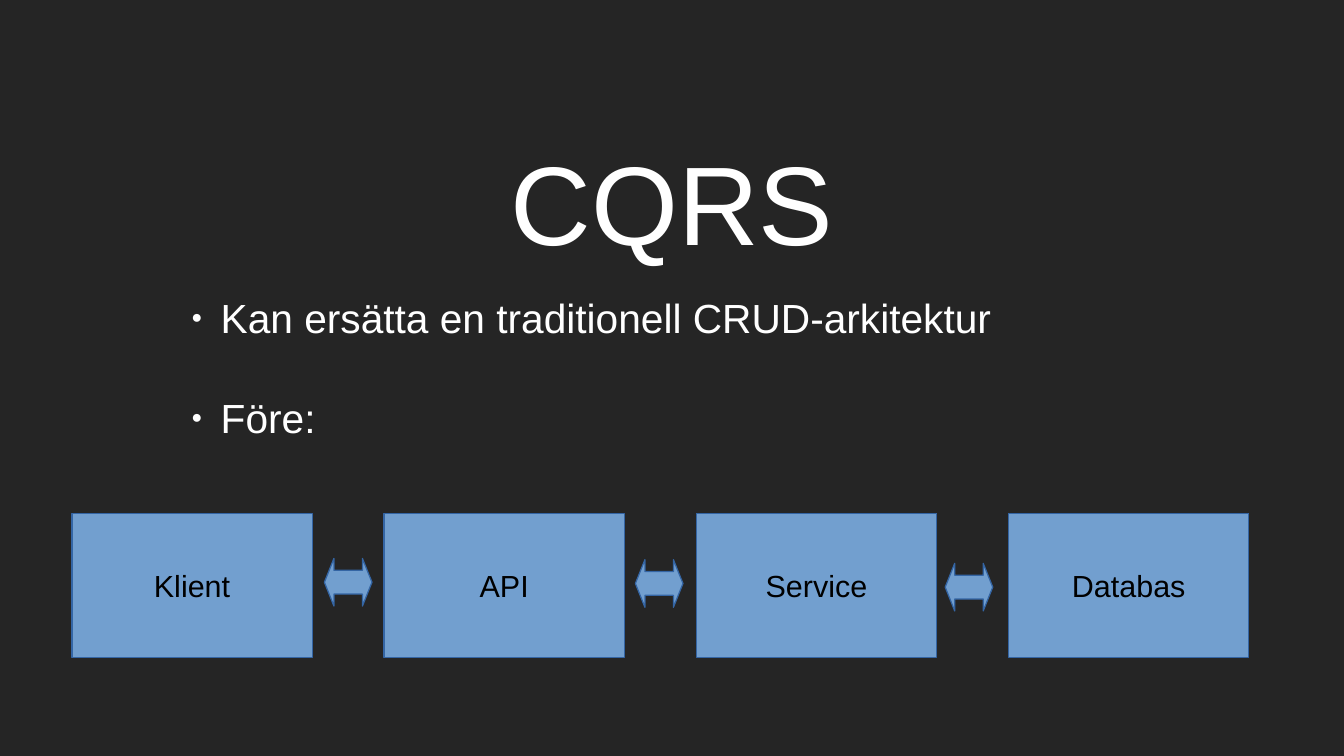
from pptx import Presentation
from pptx.dml.color import RGBColor
from pptx.enum import shapes, text
from pptx.oxml import parse_xml
from pptx.oxml.ns import nsdecls
from pptx.util import Inches, Pt

# Content
TITLE = "CQRS"
POINTS = ["Kan ersätta en traditionell CRUD-arkitektur", "Före:"]
STEPS = ["Klient", "API", "Service", "Databas"]
ARROWS = [(2.66, 4.58), (5.21, 4.59), (7.75, 4.62)]  # left, top

# Look
DARK = RGBColor(0x25, 0x25, 0x25)
WHITE = RGBColor(0xFF, 0xFF, 0xFF)
BLACK = RGBColor(0, 0, 0)
BLUE = RGBColor(0x72, 0x9F, 0xCF)
EDGE = RGBColor(0x34, 0x65, 0xA4)
HEAD = {"size": Pt(66), "name": "Arial"}
BODY = {"size": Pt(24), "name": "Arial"}
LABEL = {"size": Pt(18), "name": "Arial"}
FRAME = {"margin_left": 0, "margin_right": 0, "margin_top": 0,
         "margin_bottom": 0, "word_wrap": True,
         "vertical_anchor": text.MSO_ANCHOR.MIDDLE}
BULLET = (
    '<a:buClr {0}><a:srgbClr val="FFFFFF"/></a:buClr>',
    '<a:buSzPct {0} val="45000"/>',
    '<a:buFont {0} typeface="Arial"/>',
    '<a:buChar {0} char="●"/>',
)

# Row of boxes
LEFT, TOP, WIDE, HIGH, PITCH = 0.59, 4.21, 1.97, 1.18, 2.56
ARROW = 0.39


def apply(item, values):
    for key, value in values.items():
        setattr(item, key, value)


def style(para, font, color, align):
    para.alignment = align
    apply(para.font, font)
    para.font.color.rgb = color


def add_block(slide, kind, left, top, wide, high):
    block = slide.shapes.add_shape(
        kind, Inches(left), Inches(top), Inches(wide), Inches(high))
    block.shadow.inherit = False
    block.fill.solid()
    block.fill.fore_color.rgb = BLUE
    block.line.color.rgb = EDGE
    block.line.width = Pt(0)
    return block


def main():
    deck = Presentation()
    deck.slide_width, deck.slide_height = Inches(11.02), Inches(6.2)
    slide = deck.slides.add_slide(deck.slide_layouts[5])
    slide.background.fill.solid()
    slide.background.fill.fore_color.rgb = DARK

    # Title
    title = slide.shapes.title
    apply(title, {"left": Inches(0.55), "top": Inches(0.93),
                  "width": Inches(9.92), "height": Inches(1.43)})
    title.text = TITLE
    apply(title.text_frame, FRAME)
    style(title.text_frame.paragraphs[0], HEAD, WHITE, text.PP_ALIGN.CENTER)

    # Bullets
    box = slide.shapes.add_textbox(
        Inches(1.57), Inches(2.45), Inches(8.46), Inches(1.12))
    frame = box.text_frame
    apply(frame, FRAME)
    frame.text = "\n".join(POINTS)
    for i, para in enumerate(frame.paragraphs):
        props = para._p.get_or_add_pPr()
        props.set("marL", str(Inches(0.24)))
        props.set("indent", str(-Inches(0.24)))
        for mark in BULLET:
            props.append(parse_xml(mark.format(nsdecls("a"))))
        style(para, BODY, WHITE, text.PP_ALIGN.LEFT)
        if i:
            para.space_before = Pt(30)

    # Boxes
    for i, step in enumerate(STEPS):
        block = add_block(slide, shapes.MSO_SHAPE.FLOWCHART_PROCESS,
                          LEFT + i * PITCH, TOP, WIDE, HIGH)
        block.text_frame.text = step
        block.text_frame.vertical_anchor = text.MSO_ANCHOR.MIDDLE
        style(block.text_frame.paragraphs[0], LABEL, BLACK,
              text.PP_ALIGN.CENTER)

    # Arrows between the boxes
    for left, top in ARROWS:
        arrow = add_block(slide, shapes.MSO_SHAPE.LEFT_RIGHT_ARROW,
                          left, top, ARROW, ARROW)
        arrow.adjustments[0] = 0.5
        arrow.adjustments[1] = 0.2

    deck.save("out.pptx")


if __name__ == "__main__":
    main()
